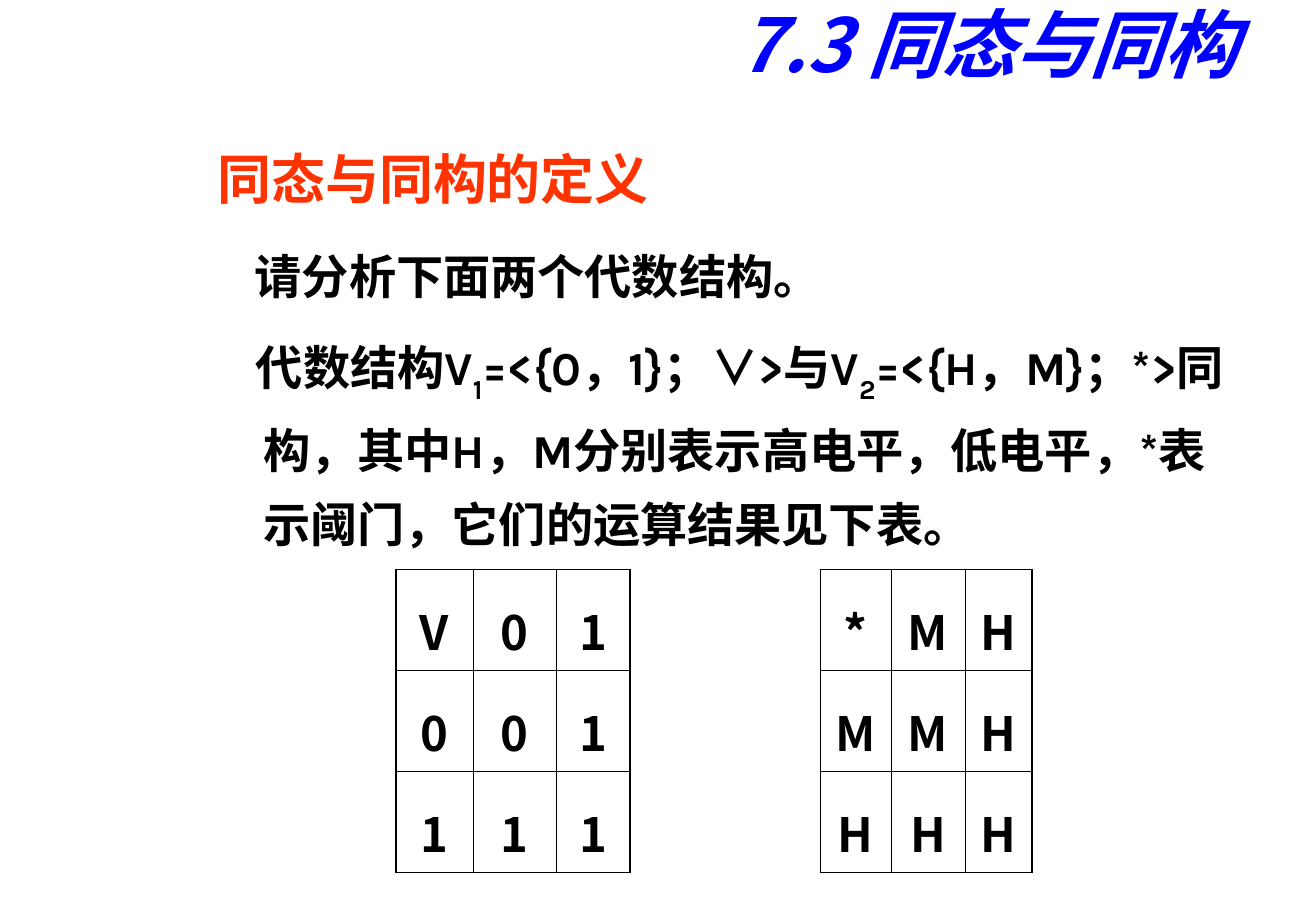
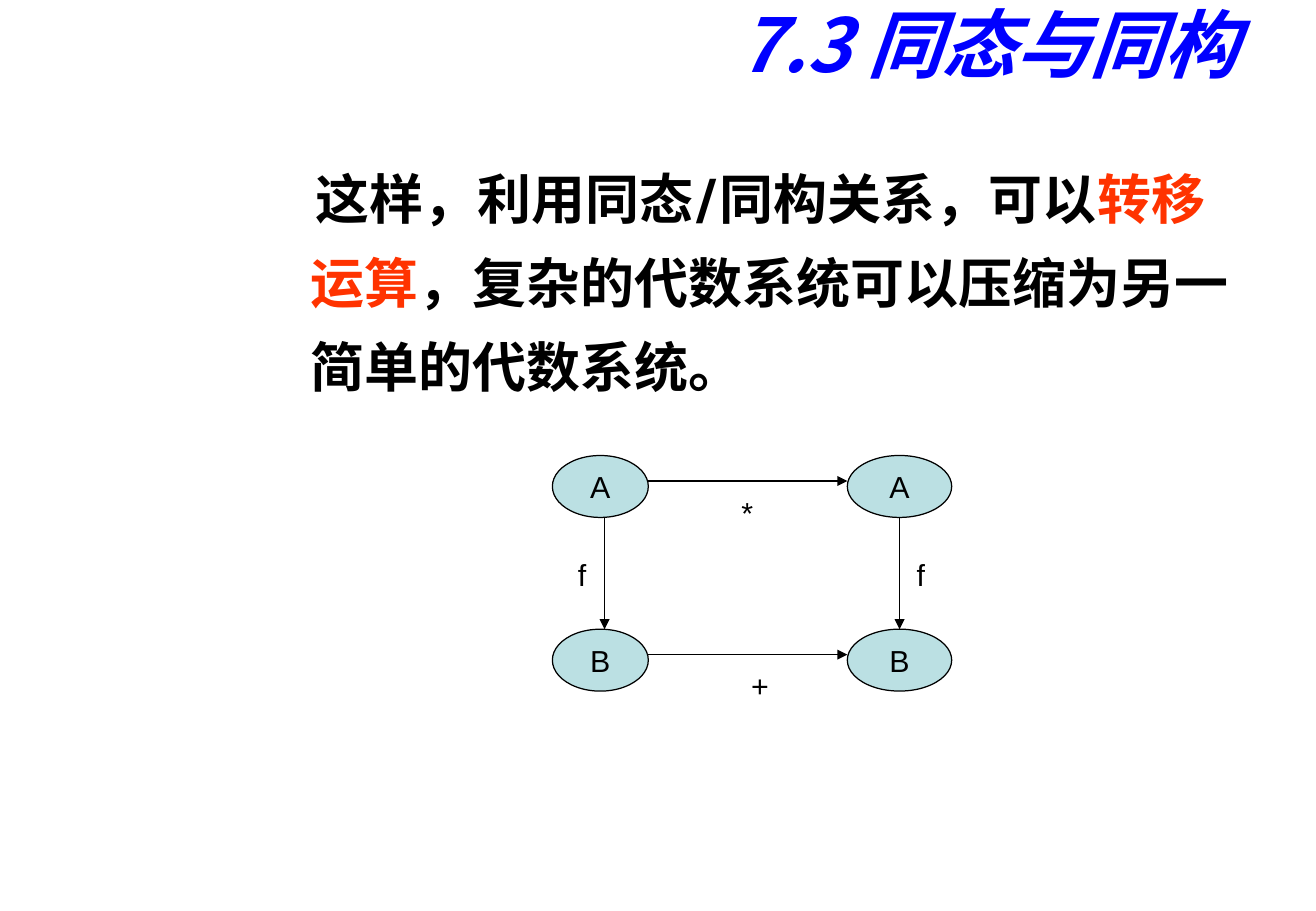
from dataclasses import dataclass
from typing import Any, Optional

import pptx
import pptx.dml.color
import pptx.enum.shapes
import pptx.enum.text
import pptx.oxml.ns
import pptx.util
from lxml import etree

RGBColor = pptx.dml.color.RGBColor
Pt = pptx.util.Pt
qn = pptx.oxml.ns.qn
ALIGN = pptx.enum.text.PP_ALIGN
ANCHOR = pptx.enum.text.MSO_ANCHOR
SHAPE = pptx.enum.shapes.MSO_SHAPE

BLACK = RGBColor(0x00, 0x00, 0x00)
BLUE = RGBColor(0x00, 0x00, 0xFF)
RED = RGBColor(0xFF, 0x33, 0x00)
AQUA = RGBColor(0xBB, 0xE0, 0xE3)

SANS, KARLA, ARIAL = "Noto Sans CJK SC", "Karla", "Arial"
SLIDE_W, SLIDE_H = pptx.util.Inches(10.84), pptx.util.Inches(7.5)
GRID_COLS = 108.4
CELL = SLIDE_W / GRID_COLS
THIN, THICK = Pt(0.45), Pt(1.08)

TITLE = "7.3 同态与同构"
TITLE_FMT = {"size": Pt(44), "bold": True, "italic": True}
HEAD_FMT = {"size": Pt(32), "bold": True}
BODY_FMT = {"size": Pt(28), "bold": True}
LABEL_FMT = {"size": Pt(18), "bold": False}
FRAME_FMT = {"word_wrap": True, "auto_size": pptx.enum.text.MSO_AUTO_SIZE.NONE}


@dataclass(frozen=True)
class Box:
    x: float
    y: float
    w: float
    h: float

    def emu(self) -> tuple[int, ...]:
        return tuple(grid(n) for n in (self.x, self.y, self.w, self.h))


@dataclass(frozen=True)
class Run:
    text: str
    fmt: dict[str, Any]
    font: str = KARLA
    color: RGBColor = BLACK
    baseline: int = 0


@dataclass(frozen=True)
class Para:
    runs: list[Run]
    before: float
    first: float
    align: Any = ALIGN.LEFT


@dataclass(frozen=True)
class Grid:
    x: float
    cols: list[float]
    rows: list[str]


@dataclass(frozen=True)
class Label:
    text: str
    box: Box
    shape: Optional[Any] = None


@dataclass(frozen=True)
class Arrow:
    x1: float
    y1: float
    x2: float
    y2: float


def grid(n: float) -> int:
    return round(n * CELL)


def apply(obj: Any, fmt: dict[str, Any]) -> None:
    for name, value in fmt.items():
        setattr(obj, name, value)


def add_run(p: Any, run: Run) -> None:
    r = p.add_run()
    r.text = run.text
    apply(r.font, run.fmt)
    r.font.color.rgb = run.color
    r.font.name = run.font
    rpr = r.font._element
    etree.SubElement(rpr, qn("a:ea")).set("typeface", run.font)
    if run.baseline:
        rpr.set("baseline", str(run.baseline))


def add_title(s: Any) -> None:
    sp = s.shapes.title
    apply(sp, dict(zip(("left", "top", "width", "height"), Box(21.2, -0.3, 83.4, 7.6).emu())))
    tf = sp.text_frame
    apply(tf, FRAME_FMT | {"vertical_anchor": ANCHOR.MIDDLE, "margin_right": grid(2.6)})
    p = tf.paragraphs[0]
    p.alignment = ALIGN.RIGHT
    add_run(p, Run(TITLE, TITLE_FMT, SANS, BLUE))


def add_body(s: Any, box: Box, paras: list[Para]) -> None:
    tf = s.shapes.add_textbox(*box.emu()).text_frame
    apply(tf, FRAME_FMT)
    for i, para in enumerate(paras):
        p = tf.add_paragraph() if i else tf.paragraphs[0]
        apply(p, {"alignment": para.align, "line_spacing": 1.3, "space_before": Pt(para.before)})
        ppr = p._p.get_or_add_pPr()
        ppr.set("marL", str(grid(6.7)))
        ppr.set("indent", str(grid(para.first - 6.7)))
        for run in para.runs:
            add_run(p, run)


def add_border(cell: Any, side: str, width: int) -> None:
    ln = etree.SubElement(cell._tc.get_or_add_tcPr(), qn(f"a:{side}"), w=str(width))
    fill = etree.SubElement(ln, qn("a:solidFill"))
    etree.SubElement(fill, qn("a:srgbClr"), val=str(BLACK))


def add_grid(s: Any, g: Grid) -> None:
    n, m, row_h = len(g.rows), len(g.cols), 7.06
    box = Box(g.x, 46.9, sum(g.cols), n * row_h)
    table = s.shapes.add_table(n, m, *box.emu()).table
    apply(table, {"first_row": False, "horz_banding": False})
    for col, w in zip(table.columns, g.cols):
        col.width = grid(w)
    for i, row in enumerate(g.rows):
        table.rows[i].height = grid(row_h)
        for j, text in enumerate(row):
            cell = table.cell(i, j)
            edges = {"lnL": j == 0, "lnR": j == m - 1, "lnT": i == 0, "lnB": i == n - 1}
            for side, outer in edges.items():
                add_border(cell, side, THICK if outer else THIN)
            cell.fill.background()
            p = cell.text_frame.paragraphs[0]
            apply(p, {"alignment": ALIGN.CENTER, "line_spacing": 1.3, "space_before": Pt(7)})
            add_run(p, Run(text, BODY_FMT, SANS))


def add_label(s: Any, label: Label) -> None:
    if label.shape is None:
        sp = s.shapes.add_textbox(*label.box.emu())
    else:
        sp = s.shapes.add_shape(label.shape, *label.box.emu())
        sp.shadow.inherit = False
        sp.fill.solid()
        sp.fill.fore_color.rgb = AQUA
        sp.line.color.rgb = BLACK
        sp.line.width = Pt(0.75)
    tf = sp.text_frame
    apply(tf, FRAME_FMT | {"word_wrap": False, "vertical_anchor": ANCHOR.MIDDLE})
    p = tf.paragraphs[0]
    p.alignment = ALIGN.CENTER
    add_run(p, Run(label.text, LABEL_FMT, ARIAL))


def add_arrow(s: Any, a: Arrow) -> None:
    ends = (grid(n) for n in (a.x1, a.y1, a.x2, a.y2))
    cx = s.shapes.add_connector(pptx.enum.shapes.MSO_CONNECTOR.STRAIGHT, *ends)
    cx.line.color.rgb = BLACK
    cx.line.width = Pt(0.75)
    etree.SubElement(cx.line._get_or_add_ln(), qn("a:tailEnd"), type="triangle")
    etree.SubElement(cx._element.spPr, qn("a:effectLst"))


def new_slide(prs: Any) -> Any:
    s = prs.slides.add_slide(prs.slide_layouts[5])
    add_title(s)
    return s


def definition_slide(prs: Any) -> None:
    s = new_slide(prs)
    add_body(s, Box(14, 9.9, 89.8, 62.2), [
        Para([Run("同态与同构的定义", HEAD_FMT, SANS, RED)], 8, 2.9),
        Para([Run("请分析下面两个代数结构。", BODY_FMT)], 12, 6, ALIGN.JUSTIFY),
        Para([
            Run("代数结构V", BODY_FMT),
            Run("1", BODY_FMT, baseline=-30000),
            Run("=<{0，1}；", BODY_FMT),
            Run("∨", BODY_FMT, ARIAL),
            Run(">与V", BODY_FMT),
            Run("2", BODY_FMT, baseline=-30000),
            Run("=<{H，M}；*>同构，其中H，M分别表示高电平，低电平，"
                "*表示阈门，它们的运算结果见下表。", BODY_FMT),
        ], 8, 6.1),
    ])
    add_grid(s, Grid(32.6, [6.4, 6.8, 6.1], ["V01", "001", "111"]))
    add_grid(s, Grid(67.6, [5.8, 6.1, 5.5], ["*MH", "MMH", "HHH"]))


def transfer_slide(prs: Any) -> None:
    s = new_slide(prs)
    add_body(s, Box(17.9, 11.5, 85.9, 60.6), [
        Para([
            Run("这样，利用同态/同构关系，可以", HEAD_FMT),
            Run("转移运算", HEAD_FMT, color=RED),
            Run("，复杂的代数系统可以压缩为另一简单的代数系统。", HEAD_FMT),
        ], 14, 7.1),
    ])
    left, left_w, right, right_w, node_h = 45.5, 7.9, 69.8, 8.6, 5.1
    top, bottom = 37.5, 51.8
    for text, y in (("A", top), ("B", bottom)):
        for x, w in ((left, left_w), (right, right_w)):
            add_label(s, Label(text, Box(x, y, w, node_h), SHAPE.OVAL))
        add_arrow(s, Arrow(left + left_w, y + 2.1, right, y + 2.1))
    for x in (49.8, right + right_w / 2):
        add_arrow(s, Arrow(x, top + node_h, x, bottom))
    for text, x, y, w in (("f", 46.9, 45.7, 2.1), ("f", 74.8, 45.7, 2.1),
                          ("*", 60.5, 40.6, 2.1), ("+", 61.3, 54.9, 2.6)):
        add_label(s, Label(text, Box(x, y, w, 3.1)))


def main() -> None:
    prs = pptx.Presentation()
    apply(prs, {"slide_width": SLIDE_W, "slide_height": SLIDE_H})
    definition_slide(prs)
    transfer_slide(prs)
    prs.save("out.pptx")


if __name__ == "__main__":
    main()
